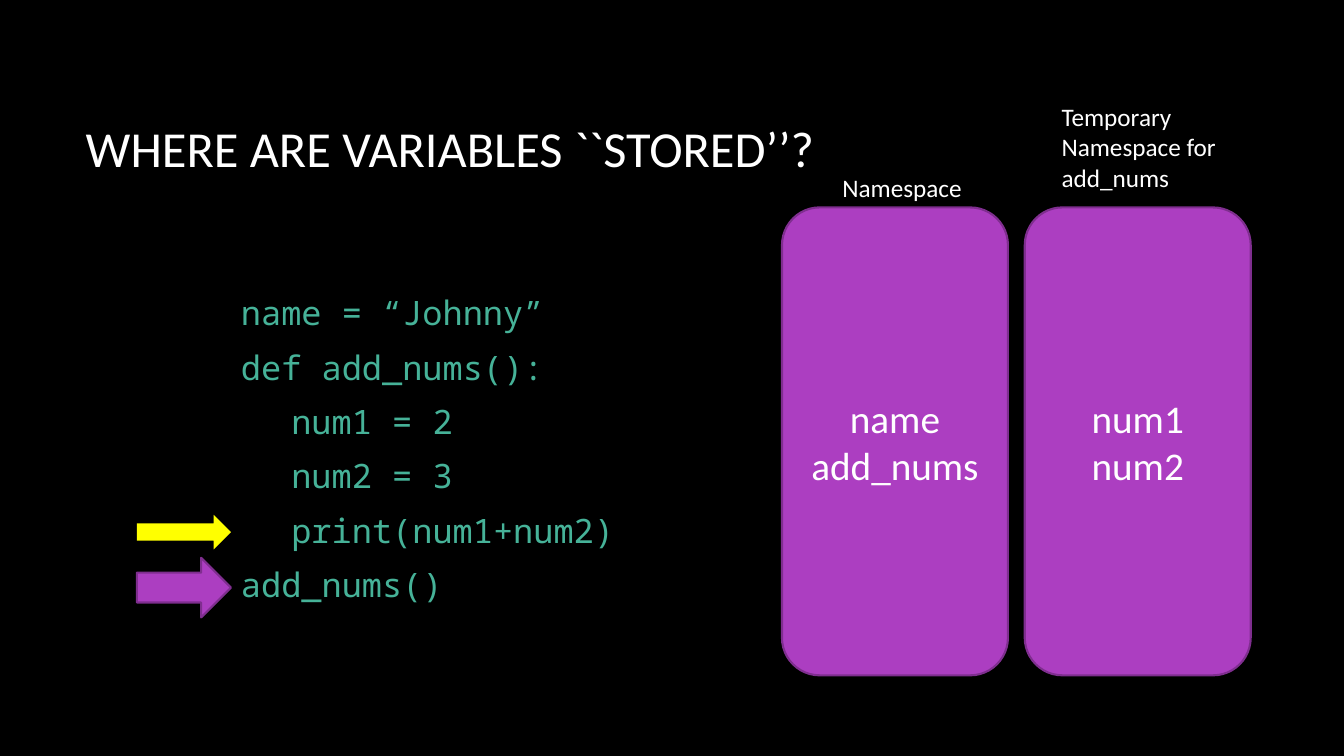
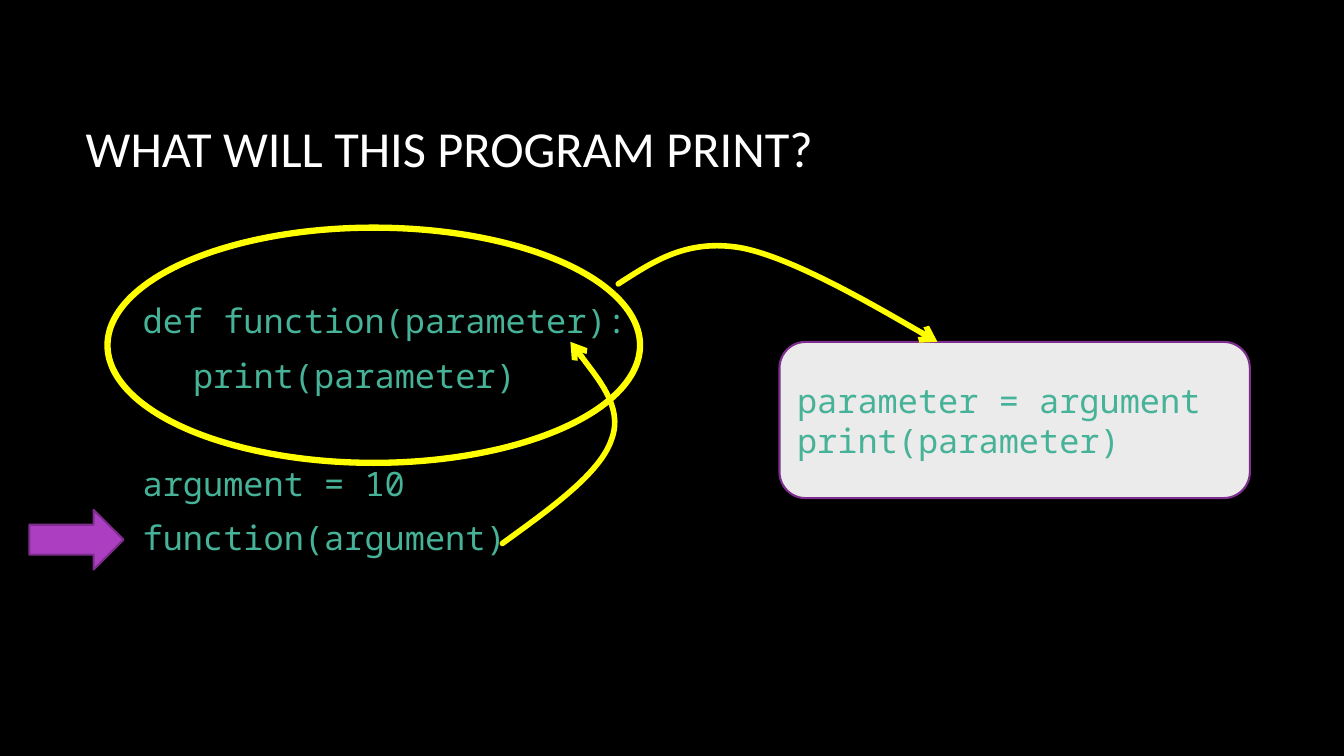
from dataclasses import dataclass
from typing import NamedTuple, Optional

from lxml.etree import SubElement
from pptx import Presentation
from pptx.dml.color import RGBColor
from pptx.enum.shapes import MSO_SHAPE
from pptx.enum.text import MSO_ANCHOR, MSO_AUTO_SIZE, PP_ALIGN
from pptx.oxml.ns import qn
from pptx.util import Emu, Inches, Pt

COLUMNS, ROWS = 160, 90
WIDTH, HEIGHT = Inches(13.33), Inches(7.5)
COLORS = {
    "background": "000000",
    "text": "FFFFFF",
    "code": "46B298",
    "accent": "AC3EC1",
    "outline": "7F2E8F",
    "highlight": "FFFF00",
    "card": "EBEBEB",
}
FONTS = {
    "title": {"name": "Calibri", "size": Pt(36)},
    "panel": {"name": "Calibri", "size": Pt(28)},
    "label": {"name": "Calibri", "size": Pt(18)},
    "code": {"name": "Noto Sans Mono", "size": Pt(24)},
}
CODE_INDENT = Inches(0.5)
CODE_GAP = Pt(10)
SECTION_GAP = Pt(48.7)
PANEL_TOP, PANEL_STEP = 24.7, 28.9


class Point(NamedTuple):
    column: float
    row: float


class Box(NamedTuple):
    column: float
    row: float
    columns: float
    rows: float


class Curve(NamedTuple):
    first_control: Point
    second_control: Point
    end: Point


class CodeLine(NamedTuple):
    text: str
    indented: bool = False
    ends_section: bool = False


@dataclass(frozen=True)
class Figure:
    kind: MSO_SHAPE
    box: Box
    fill: Optional[str] = "accent"
    line: Optional[str] = "outline"
    line_width: float = 1.5


@dataclass(frozen=True)
class Panel:
    names: tuple
    label: str
    label_box: Box
    wrap: bool


TITLE_BOX = Box(9, 8, 133, 19.1)
PANELS = (
    Panel(("name", "add_nums"), "Namespace", Box(99.1, 19.9, 16.8, 4.8), False),
    Panel(("num1", "num2"), "Temporary Namespace for add_nums",
          Box(125.2, 11.5, 23.8, 12.1), True),
)
STORAGE_CODE = (
    CodeLine("name = “Johnny”"),
    CodeLine("def add_nums():"),
    CodeLine("num1 = 2", indented=True),
    CodeLine("num2 = 3", indented=True),
    CodeLine("print(num1+num2)", indented=True),
    CodeLine("add_nums()"),
)
PRINT_CODE = (
    CodeLine("def function(parameter):"),
    CodeLine("print(parameter)", indented=True, ends_section=True),
    CodeLine("argument = 10"),
    CodeLine("function(argument)"),
)
ARGUMENT_START = Point(59.8, 64.7)
ARGUMENT_CURVES = (
    Curve(Point(65.6, 60.5), Point(71.5, 56.3), Point(72.8, 52.3)),
    Curve(Point(74.3, 48.4), Point(67.9, 40.7), Point(67.9, 40.7)),
)
BODY_START = Point(73.6, 33.8)
BODY_CURVES = (
    Curve(Point(77.8, 31.1), Point(81.8, 28.4), Point(88.2, 29.5)),
    Curve(Point(94.6, 30.7), Point(111.6, 40.7), Point(111.6, 40.7)),
)


def color(name: str) -> RGBColor:
    return RGBColor.from_string(COLORS[name])


def across(columns: float) -> Emu:
    return Emu(round(WIDTH * columns / COLUMNS))


def down(rows: float) -> Emu:
    return Emu(round(HEIGHT * rows / ROWS))


def place(box: Box) -> tuple:
    return across(box.column), down(box.row), across(box.columns), down(box.rows)


def set_attributes(target, values: dict) -> None:
    for name, value in values.items():
        setattr(target, name, value)


def write_lines(text_frame, lines, style: str, color_name: str,
                align=PP_ALIGN.LEFT) -> list:
    text_frame.text = "\n".join(lines)
    for paragraph in text_frame.paragraphs:
        paragraph.alignment = align
        for run in paragraph.runs:
            set_attributes(run.font, FONTS[style])
            run.font.color.rgb = color(color_name)
    return list(text_frame.paragraphs)


def add_titled_slide(presentation, title: str):
    slide = presentation.slides.add_slide(presentation.slide_layouts[5])
    shape = slide.shapes.title
    shape.left, shape.top, shape.width, shape.height = place(TITLE_BOX)
    set_attributes(shape.text_frame, {
        "auto_size": MSO_AUTO_SIZE.NONE, "vertical_anchor": MSO_ANCHOR.MIDDLE})
    write_lines(shape.text_frame, [title], "title", "text")
    return slide


def add_figure(slide, figure: Figure):
    shape = slide.shapes.add_shape(figure.kind, *place(figure.box))
    shape.shadow.inherit = False
    if figure.fill:
        shape.fill.solid()
        shape.fill.fore_color.rgb = color(figure.fill)
    else:
        shape.fill.background()
    if figure.line:
        shape.line.color.rgb = color(figure.line)
        shape.line.width = Pt(figure.line_width)
    else:
        shape.line.fill.background()
    shape.text_frame.vertical_anchor = MSO_ANCHOR.MIDDLE
    return shape


def add_step_arrow(slide, column: float, row: float) -> None:
    add_figure(slide, Figure(MSO_SHAPE.RIGHT_ARROW, Box(column, row, 11.2, 7.1)))


def add_code(slide, box: Box, lines) -> None:
    text_frame = slide.shapes.add_textbox(*place(box)).text_frame
    set_attributes(text_frame, {
        "word_wrap": True, "vertical_anchor": MSO_ANCHOR.MIDDLE})
    paragraphs = write_lines(text_frame, [line.text for line in lines], "code", "code")
    for line, paragraph in zip(lines, paragraphs):
        paragraph.space_after = SECTION_GAP if line.ends_section else CODE_GAP
        if line.indented:
            paragraph._p.get_or_add_pPr().set("marL", str(CODE_INDENT))


def add_panel(slide, panel: Panel, index: int) -> None:
    box = Box(93.1 + index * PANEL_STEP, PANEL_TOP, 26.9, 55.7)
    shape = add_figure(slide, Figure(MSO_SHAPE.ROUNDED_RECTANGLE, box))
    write_lines(shape.text_frame, panel.names, "panel", "text", PP_ALIGN.CENTER)
    label = slide.shapes.add_textbox(*place(panel.label_box)).text_frame
    label.word_wrap = panel.wrap
    write_lines(label, [panel.label], "label", "text")


def add_curved_arrow(slide, start: Point, curves) -> None:
    builder = slide.shapes.build_freeform(across(start.column), down(start.row))
    builder.add_line_segments(
        [(across(curve.end.column), down(curve.end.row)) for curve in curves],
        close=False)
    shape = builder.convert_to_shape()
    shape.shadow.inherit = False
    shape.fill.background()
    shape.line.color.rgb = color("highlight")
    shape.line.width = Pt(4)
    line = shape.line._get_or_add_ln()
    line.set("cap", "rnd")
    SubElement(line, qn("a:round"))
    SubElement(line, qn("a:tailEnd"), type="arrow")
    segments = list(shape._element.iter(qn("a:lnTo")))
    for segment, curve in zip(segments, curves):
        segment.tag = qn("a:cubicBezTo")
        for child in list(segment):
            segment.remove(child)
        for point in curve:
            SubElement(segment, qn("a:pt"),
                       x=str(across(point.column) - shape.left),
                       y=str(down(point.row) - shape.top))


def build_storage_slide(presentation) -> None:
    slide = add_titled_slide(presentation, "WHERE ARE VARIABLES ``STORED’’?")
    add_code(slide, Box(27.5, 29.4, 61.2, 47.9), STORAGE_CODE)
    for index, panel in enumerate(PANELS):
        add_panel(slide, panel, index)
    add_step_arrow(slide, 16.3, 66.4)
    add_figure(slide, Figure(MSO_SHAPE.RIGHT_ARROW, Box(16.3, 61.3, 11.2, 4.1),
                             fill="highlight", line=None))


def build_print_slide(presentation) -> None:
    slide = add_titled_slide(presentation, "WHAT WILL THIS PROGRAM PRINT?")
    add_code(slide, Box(15.8, 27.1, 133, 47.9), PRINT_CODE)
    add_step_arrow(slide, 3.5, 60.7)
    add_curved_arrow(slide, ARGUMENT_START, ARGUMENT_CURVES)
    card = add_figure(slide, Figure(MSO_SHAPE.ROUNDED_RECTANGLE,
                                    Box(92.8, 40.7, 56, 18.6), fill="card"))
    write_lines(card.text_frame, ["parameter = argument", "print(parameter)"],
                "code", "code")
    add_figure(slide, Figure(MSO_SHAPE.OVAL, Box(12.8, 27.1, 63.4, 28),
                             fill=None, line="highlight", line_width=4.5))
    add_curved_arrow(slide, BODY_START, BODY_CURVES)


def main() -> None:
    presentation = Presentation()
    set_attributes(presentation, {"slide_width": WIDTH, "slide_height": HEIGHT})
    background = presentation.slide_master.background.fill
    background.solid()
    background.fore_color.rgb = color("background")
    build_storage_slide(presentation)
    build_print_slide(presentation)
    presentation.save("out.pptx")


if __name__ == "__main__":
    main()
